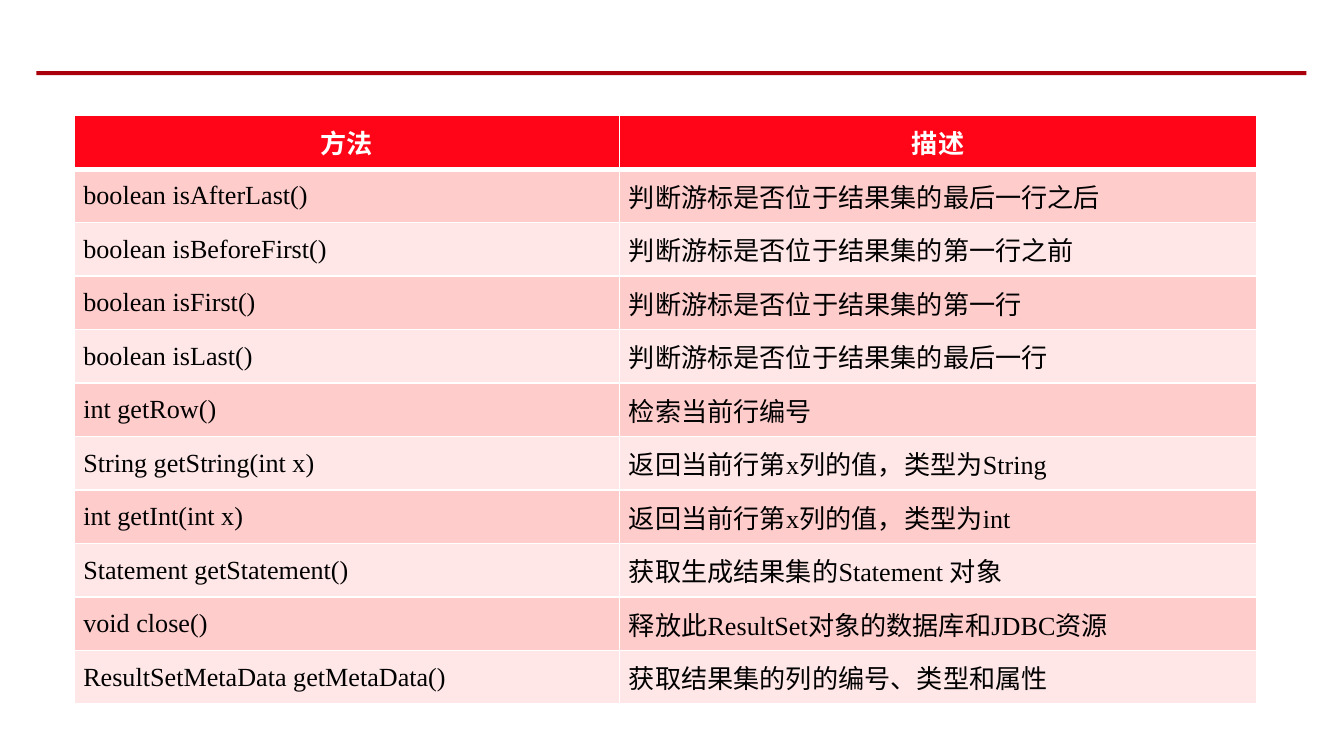
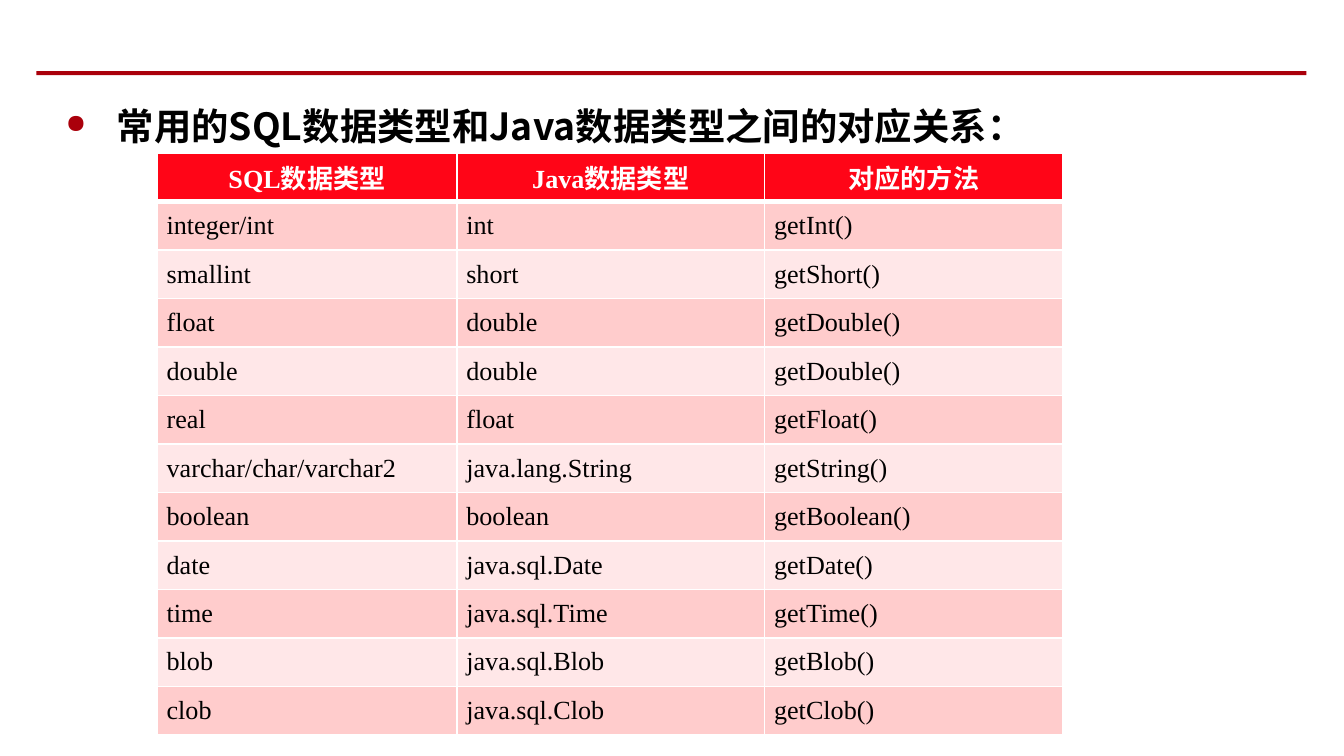
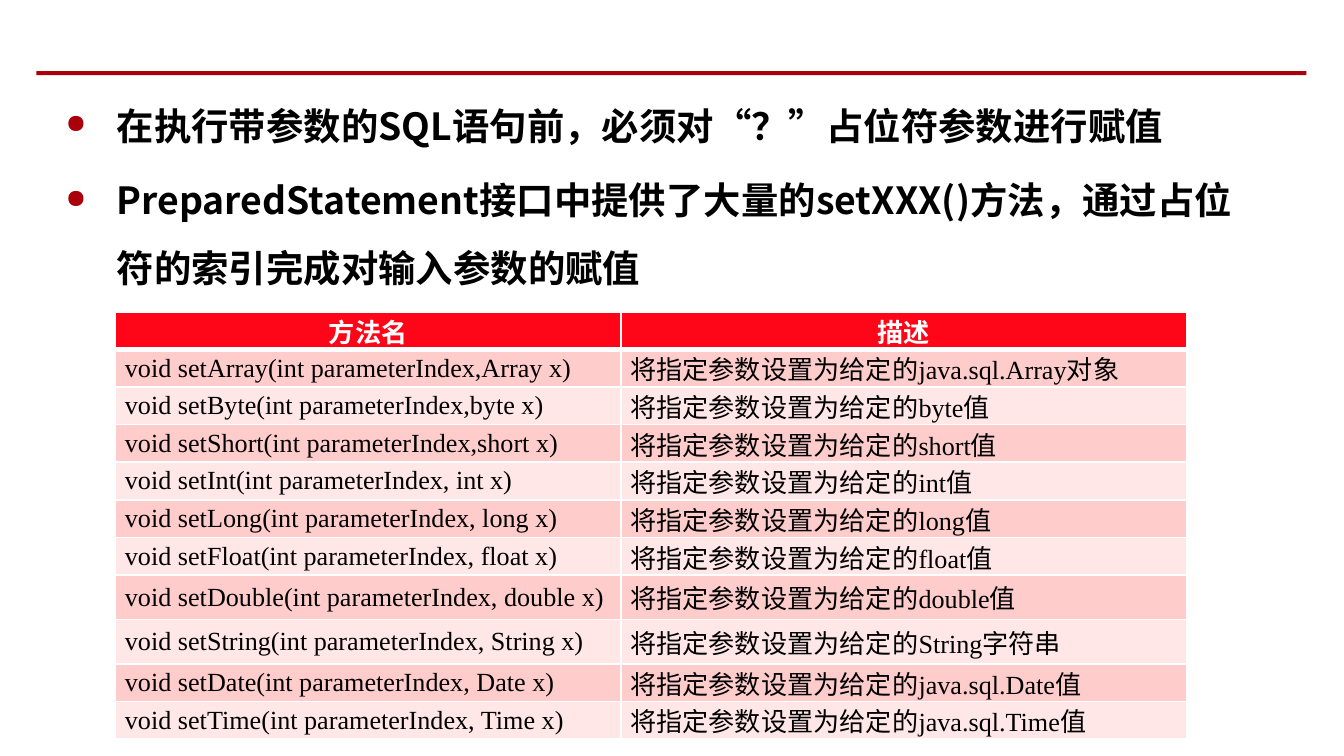
"""Builds three slides on JDBC result sets, data types and statement parameters."""
from itertools import groupby

from lxml.etree import SubElement
from pptx import Presentation
from pptx.dml.color import RGBColor
from pptx.enum.shapes import MSO_SHAPE as Shape
from pptx.enum.text import MSO_ANCHOR as Anchor, PP_ALIGN as Align
from pptx.oxml.ns import qn
from pptx.util import Inches, Pt

DARK_RED, HEADER_RED = "AA000B", "FF0517"
BANDS = ("FFCCCC", "FFE7E8")
WHITE, BLACK = "FFFFFF", "000000"
LATIN_FONT, CHINESE_FONT, BODY_FONT = "Times New Roman", "Arial", "Noto Sans CJK SC"

RESULT_SET_METHODS = [
    ("方法", "描述"),
    ("boolean isAfterLast()", "判断游标是否位于结果集的最后一行之后"),
    ("boolean isBeforeFirst()", "判断游标是否位于结果集的第一行之前"),
    ("boolean isFirst()", "判断游标是否位于结果集的第一行"),
    ("boolean isLast()", "判断游标是否位于结果集的最后一行"),
    ("int getRow()", "检索当前行编号"),
    ("String getString(int x)", "返回当前行第x列的值，类型为String"),
    ("int getInt(int x)", "返回当前行第x列的值，类型为int"),
    ("Statement getStatement()", "获取生成结果集的Statement 对象"),
    ("void close()", "释放此ResultSet对象的数据库和JDBC资源"),
    ("ResultSetMetaData getMetaData()", "获取结果集的列的编号、类型和属性"),
]
TYPE_MAPPING = [
    ("SQL数据类型", "Java数据类型", "对应的方法"),
    ("integer/int", "int", "getInt()"),
    ("smallint", "short", "getShort()"),
    ("float", "double", "getDouble()"),
    ("double", "double", "getDouble()"),
    ("real", "float", "getFloat()"),
    ("varchar/char/varchar2", "java.lang.String", "getString()"),
    ("boolean", "boolean", "getBoolean()"),
    ("date", "java.sql.Date", "getDate()"),
    ("time", "java.sql.Time", "getTime()"),
    ("blob", "java.sql.Blob", "getBlob()"),
    ("clob", "java.sql.Clob", "getClob()"),
]
SETTER_METHODS = [
    ("方法名", "描述"),
    ("void setArray(int parameterIndex,Array x)", "将指定参数设置为给定的java.sql.Array对象"),
    ("void setByte(int parameterIndex,byte x)", "将指定参数设置为给定的byte值"),
    ("void setShort(int parameterIndex,short x)", "将指定参数设置为给定的short值"),
    ("void setInt(int parameterIndex, int x)", "将指定参数设置为给定的int值"),
    ("void setLong(int parameterIndex, long x)", "将指定参数设置为给定的long值"),
    ("void setFloat(int parameterIndex, float x)", "将指定参数设置为给定的float值"),
    ("void setDouble(int parameterIndex, double x)", "将指定参数设置为给定的double值"),
    ("void setString(int parameterIndex, String x)", "将指定参数设置为给定的String字符串"),
    ("void setDate(int parameterIndex, Date x)", "将指定参数设置为给定的java.sql.Date值"),
    ("void setTime(int parameterIndex, Time x)", "将指定参数设置为给定的java.sql.Time值"),
]
SLIDES = [
    {"bullets": [], "rows": RESULT_SET_METHODS, "at": (0.55, 0.86),
     "widths": (4.06, 4.74), "heights": [4.38 / 11] * 11, "header_font": LATIN_FONT},
    {"bullets": ["常用的SQL数据类型和Java数据类型之间的对应关系："],
     "body_width": 9.14, "rows": TYPE_MAPPING, "at": (1.17, 1.14),
     "widths": (2.23, 2.29, 2.22), "heights": [4.33 / 12] * 12, "header_font": CHINESE_FONT},
    {"bullets": ["在执行带参数的SQL语句前，必须对“？”占位符参数进行赋值",
                 "PreparedStatement接口中提供了大量的setXXX()方法，通过占位符的索引完成对输入参数的赋值"],
     "body_width": 8.98, "rows": SETTER_METHODS, "at": (0.86, 2.32),
     "widths": (3.76, 4.21), "heights": [0.28] * 7 + [0.33] * 2 + [0.28] * 2,
     "header_font": LATIN_FONT},
]


def color(value):
    return RGBColor.from_string(value)


def add_text(paragraph, text, font, size, fill, bold=False):
    run = paragraph.add_run()
    run.text = text
    run.font.name, run.font.size, run.font.bold = font, Pt(size), bold
    run.font.color.rgb = color(fill)
    SubElement(run.font._element, qn("a:ea")).set("typeface", BODY_FONT)


def add_rule(slide):
    rule = slide.shapes.add_shape(
        Shape.RECTANGLE, Inches(0.27), Inches(0.53), Inches(9.45), Inches(0.03))
    rule.shadow.inherit = False
    rule.fill.solid()
    rule.fill.fore_color.rgb = color(DARK_RED)
    rule.line.fill.background()


def set_bullet(paragraph):
    properties = paragraph._p.get_or_add_pPr()
    properties.set("marL", str(Inches(0.38)))
    properties.set("indent", str(-Inches(0.38)))
    bullet_color = SubElement(properties, qn("a:buClr"))
    SubElement(bullet_color, qn("a:srgbClr")).set("val", DARK_RED)
    SubElement(properties, qn("a:buSzPct")).set("val", "70000")
    SubElement(properties, qn("a:buChar")).set("char", "●")


def add_bullets(slide, bullets, width):
    box = slide.shapes.add_textbox(Inches(0.39), Inches(0.55), Inches(width), Inches(5.08))
    frame = box.text_frame
    frame.word_wrap = True
    for index, text in enumerate(bullets):
        paragraph = frame.add_paragraph() if index else frame.paragraphs[0]
        set_bullet(paragraph)
        paragraph.line_spacing = 1.5
        if index:
            paragraph.space_before = Pt(4)
        add_text(paragraph, text, BODY_FONT, 20, BLACK, bold=True)


def set_borders(cell, top, bottom):
    properties = cell._tc.get_or_add_tcPr()
    for position, (side, width) in enumerate(
            [("lnL", 1), ("lnR", 1), ("lnT", top), ("lnB", bottom)]):
        line = properties.makeelement(qn(f"a:{side}"), {"w": str(Pt(width))})
        fill = SubElement(line, qn("a:solidFill"))
        SubElement(fill, qn("a:srgbClr")).set("val", WHITE)
        properties.insert(position, line)


def fill_cell(cell, text, row_index, header_font):
    header = row_index == 0
    cell.margin_left = cell.margin_right = Inches(0.07)
    cell.margin_top = cell.margin_bottom = 0
    cell.vertical_anchor = Anchor.MIDDLE
    cell.fill.solid()
    cell.fill.fore_color.rgb = color(HEADER_RED if header else BANDS[(row_index - 1) % 2])
    set_borders(cell, top=3 if row_index == 1 else 1, bottom=3 if header else 1)
    paragraph = cell.text_frame.paragraphs[0]
    paragraph.alignment = Align.CENTER if header else Align.JUSTIFY
    chinese_font = header_font if header else CHINESE_FONT
    for latin, characters in groupby(text, str.isascii):
        add_text(paragraph, "".join(characters), LATIN_FONT if latin else chinese_font,
                 14, WHITE if header else BLACK, bold=header)


def add_grid(slide, rows, at, widths, heights, header_font):
    left, top = at
    table = slide.shapes.add_table(
        len(rows), len(widths), Inches(left), Inches(top),
        Inches(sum(widths)), Inches(sum(heights))).table
    for column, width in zip(table.columns, widths):
        column.width = Inches(width)
    for row_index, (row, height) in enumerate(zip(rows, heights)):
        table.rows[row_index].height = Inches(height)
        for column_index, text in enumerate(row):
            fill_cell(table.cell(row_index, column_index), text, row_index, header_font)


def main():
    presentation = Presentation()
    presentation.slide_width = Inches(10)
    presentation.slide_height = presentation.slide_width * 9 // 16
    for content in SLIDES:
        slide = presentation.slides.add_slide(presentation.slide_layouts[6])
        add_rule(slide)
        if content["bullets"]:
            add_bullets(slide, content["bullets"], content["body_width"])
        add_grid(slide, content["rows"], content["at"], content["widths"],
                 content["heights"], content["header_font"])
    presentation.save("out.pptx")


if __name__ == "__main__":
    main()
